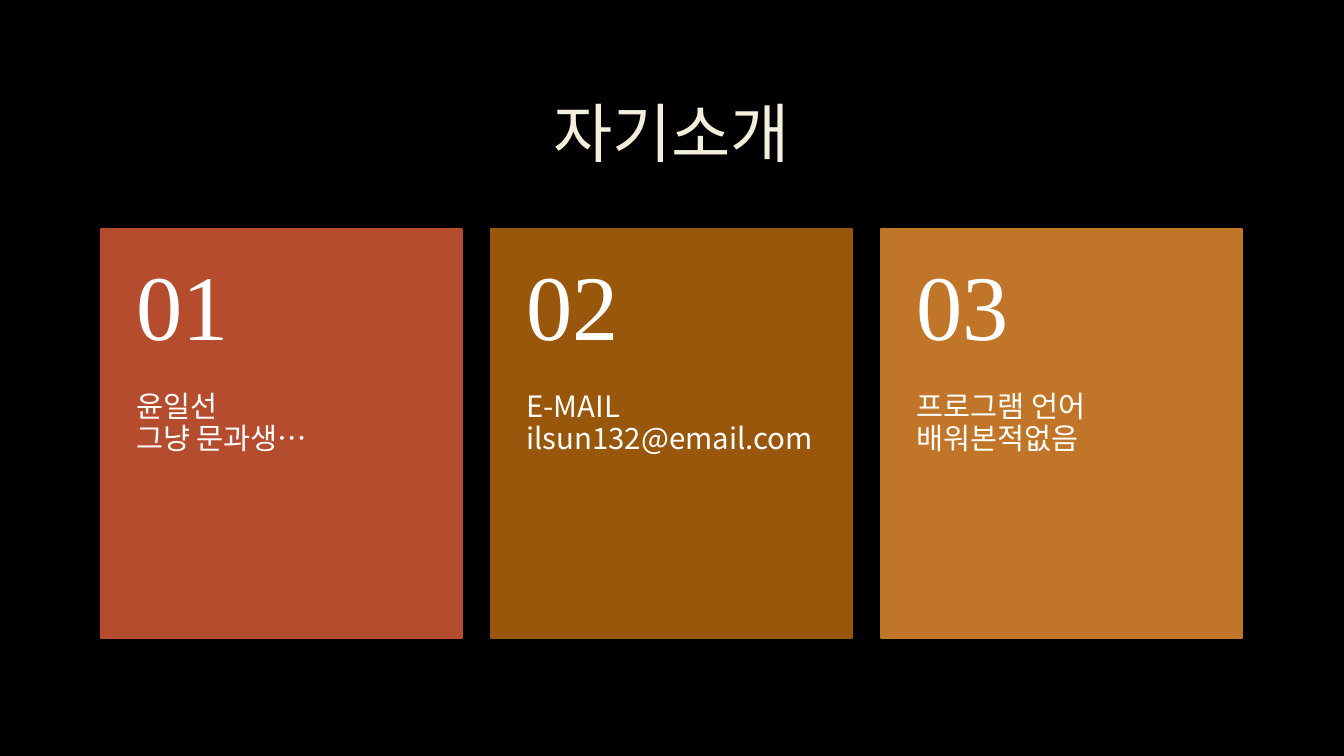
from pptx import Presentation
from pptx.dml.color import RGBColor
from pptx.enum.shapes import MSO_SHAPE
from pptx.enum.text import MSO_ANCHOR, PP_ALIGN
from pptx.oxml.ns import qn
from pptx.util import Inches, Pt
from lxml import etree

RECTANGLE = MSO_SHAPE.RECTANGLE
TOP, MIDDLE = MSO_ANCHOR.TOP, MSO_ANCHOR.MIDDLE
LEFT, CENTER = PP_ALIGN.LEFT, PP_ALIGN.CENTER

BLACK = RGBColor(0x00, 0x00, 0x00)
CREAM = RGBColor(0xF4, 0xEE, 0xDC)
WHITE = RGBColor(0xFF, 0xFF, 0xFF)
RUST = RGBColor(0xB5, 0x4C, 0x2D)
BROWN = RGBColor(0x99, 0x57, 0x0C)
OCHRE = RGBColor(0xC1, 0x75, 0x29)

SANS = "Noto Sans CJK KR"
SERIF = "Times New Roman"

CARDS = [
    ("01", "윤일선\n그냥 문과생…", RUST),
    ("02", "E-MAIL ilsun132@email.com", BROWN),
    ("03", "프로그램 언어 배워본적없음", OCHRE),
]
CARD_WIDTH, CARD_HEIGHT, CARD_PITCH = 3.58, 4.06, 3.87
NUMBER_HEIGHT = 1.62


def add_text(slide, box, text, *, size, font=SANS, color=WHITE, align=LEFT,
             anchor=TOP, insets=(0.1, 0.05, 0.1, 0.05)):
    """Add a wrapped text box; insets run left, top, right, bottom."""
    shape = slide.shapes.add_textbox(*map(Inches, box))
    frame = shape.text_frame
    frame.word_wrap = True
    frame.vertical_anchor = anchor
    (frame.margin_left, frame.margin_top,
     frame.margin_right, frame.margin_bottom) = map(Inches, insets)
    paragraph = frame.paragraphs[0]
    paragraph.text = text
    paragraph.alignment = align
    paragraph.line_spacing = 0.9
    for run in paragraph.runs:
        run.font.size = Pt(size)
        run.font.name = font
        run.font.color.rgb = color
        # Korean glyphs take the East Asian typeface
        east_asian = etree.SubElement(run.font._element, qn("a:ea"))
        east_asian.set("typeface", font)


def add_title(slide, box):
    add_text(slide, box, "자기소개", size=46, color=CREAM, align=CENTER,
             anchor=MIDDLE)


def add_card(slide, box, number, description, color):
    left, top, width, height = box

    # Panel
    panel = slide.shapes.add_shape(RECTANGLE, *map(Inches, box))
    panel.shadow.inherit = False
    panel.fill.solid()
    panel.fill.fore_color.rgb = color
    panel.line.color.rgb = color
    panel.line.width = Pt(1.25)

    # Description below the number
    add_text(slide, (left, top + NUMBER_HEIGHT, width, height - NUMBER_HEIGHT),
             description, size=21, insets=(0.35, 0, 0.35, 0.36))
    add_text(slide, (left, top, width, NUMBER_HEIGHT), number, size=66,
             font=SERIF, anchor=MIDDLE, insets=(0.35, 0.18, 0.35, 0.18))


def build_slide(presentation):
    slide = presentation.slides.add_slide(presentation.slide_layouts[6])
    slide.background.fill.solid()
    slide.background.fill.fore_color.rgb = BLACK
    add_title(slide, (1, 0.67, 11.32, 1.38))
    for index, card in enumerate(CARDS):
        box = (1 + index * CARD_PITCH, 2.27, CARD_WIDTH, CARD_HEIGHT)
        add_card(slide, box, *card)


def main():
    presentation = Presentation()
    presentation.slide_width = Inches(13.33)
    presentation.slide_height = Inches(7.5)
    build_slide(presentation)
    presentation.save("out.pptx")


if __name__ == "__main__":
    main()
